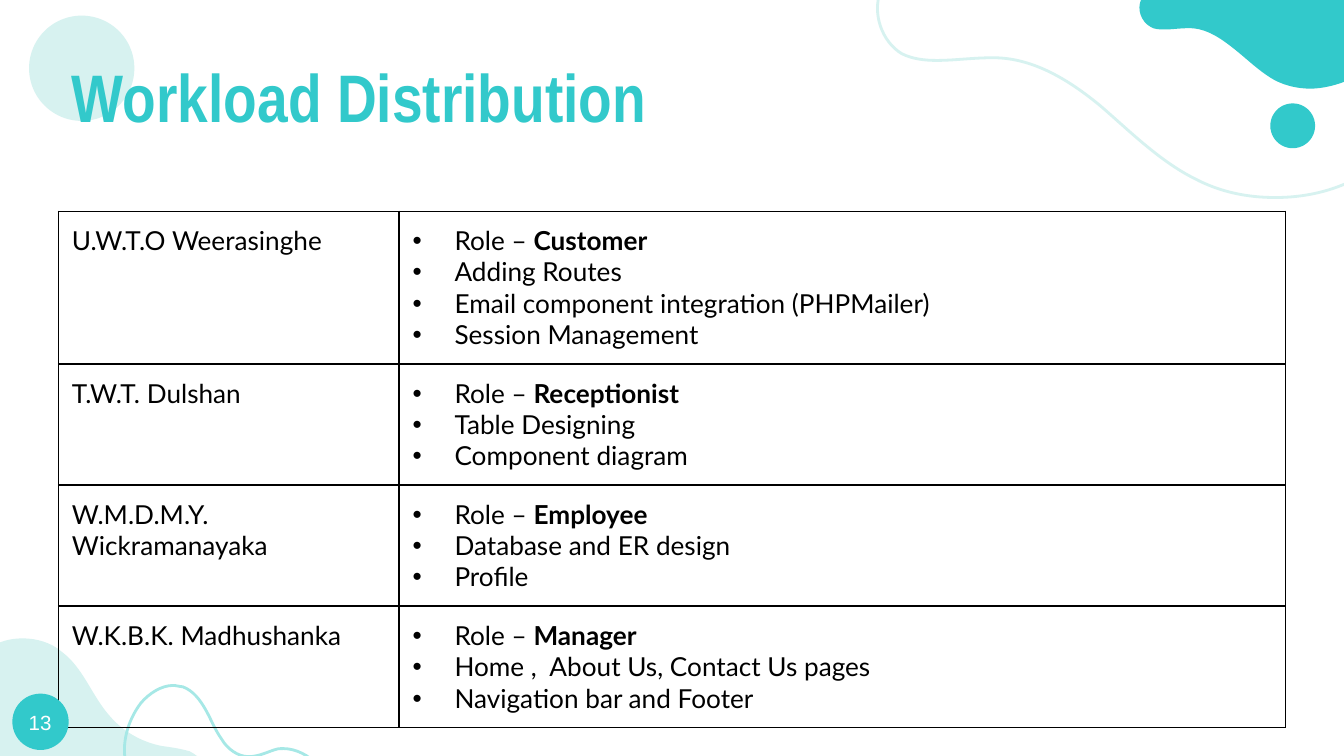
import lxml.etree
import pptx
import pptx.dml.color
import pptx.enum.shapes
import pptx.enum.text
import pptx.oxml.ns
import pptx.util

Pt = pptx.util.Pt
qn = pptx.oxml.ns.qn
ALIGN = pptx.enum.text.PP_ALIGN
ANCHOR = pptx.enum.text.MSO_ANCHOR

COLOURS = {"teal": "32C9CB", "mint": "D7F2F0", "aqua": "A6E8E6",
           "black": "000000", "white": "FFFFFF"}
UNIT = Pt(0.72)  # grid step of the outlines
INSET = Pt(7.2)

# Each outline: start, cubic curves (two handles and an end), closing corners.
TOP_WAVE = ((1005, 135), [
    (988, 143, 969, 147, 949, 147), (928, 147, 908, 143, 889, 133),
    (863, 120, 841, 98, 819, 79), (796, 60, 769, 43, 739, 43),
    (724, 43, 710, 45, 697, 45), (688, 45, 679, 44, 671, 40),
    (656, 31, 649, 10, 655, -6)], [(1007, -6), (1007, 135)])
TOP_BLOB = ((1000, 61), [
    (992, 64, 983, 66, 975, 66), (966, 66, 957, 64, 949, 60),
    (938, 54, 929, 45, 919, 37), (909, 29, 898, 21, 885, 21),
    (878, 21, 872, 22, 867, 22), (863, 22, 859, 22, 856, 20),
    (849, 16, 846, 7, 849, 0)], [(1000, 0)])
CORNER_HILL = ((0, 524), [
    (6, 522, 11, 520, 17, 520), (23, 520, 30, 522, 35, 525),
    (43, 529, 50, 535, 57, 541), (63, 547, 72, 552, 81, 552),
    (85, 552, 89, 551, 93, 551), (96, 551, 99, 552, 101, 553),
    (106, 556, 108, 562, 106, 567)], [(0, 567)])
CORNER_BAND = ((87, 567), [
    (88, 563, 87, 558, 83, 556), (81, 555, 79, 554, 76, 554),
    (73, 554, 70, 555, 67, 555), (59, 555, 52, 551, 46, 546),
    (41, 541, 35, 536, 29, 532), (24, 530, 19, 529, 14, 529),
    (9, 529, 4, 530, 0, 532), (0, 514, 0, 496, 0, 478),
    (5, 476, 11, 475, 17, 475), (27, 475, 38, 478, 46, 485),
    (62, 497, 68, 517, 81, 532), (91, 544, 105, 552, 120, 555),
    (127, 556, 134, 557, 141, 559), (145, 561, 149, 564, 151, 567)], [])
BOTTOM_WAVE = ((236, 569), [
    (230, 562, 220, 557, 211, 557), (208, 557, 206, 557, 204, 558),
    (198, 560, 192, 563, 185, 563), (177, 563, 169, 557, 165, 550),
    (160, 543, 157, 535, 153, 528), (149, 521, 144, 514, 136, 511),
    (134, 511, 131, 510, 129, 510), (120, 510, 111, 516, 105, 523),
    (95, 536, 90, 554, 94, 569)], [])

WORKLOAD = [
    ("U.W.T.O Weerasinghe", "Customer",
     ["Adding Routes", "Email component integration (PHPMailer)", "Session Management"]),
    ("T.W.T. Dulshan", "Receptionist", ["Table Designing", "Component diagram"]),
    ("W.M.D.M.Y. Wickramanayaka", "Employee", ["Database and ER design", "Profile"]),
    ("W.K.B.K. Madhushanka", "Manager",
     ["Home ,  About Us, Contact Us pages", "Navigation bar and Footer"]),
]


class SlideWriter:
    def __init__(self, page):
        self.page = page

    def colour(self, name):
        return pptx.dml.color.RGBColor.from_string(COLOURS[name])

    def paint(self, shape, fill=None, line=None):
        shape.shadow.inherit = False
        if fill:
            shape.fill.solid()
            shape.fill.fore_color.rgb = self.colour(fill)
        else:
            shape.fill.background()
        if line:
            shape.line.color.rgb = self.colour(line)
            shape.line.width = Pt(1.5)
        else:
            shape.line.fill.background()

    def outline(self, outline, fill=None, line=None):
        """Draw a polygon through all handles, then merge its lines into curves."""
        start, curves, corners = outline
        points = [curve[i:i + 2] for curve in curves for i in (0, 2, 4)]
        builder = self.page.shapes.build_freeform(*start, scale=UNIT)
        builder.add_line_segments(points + corners, close=True)
        shape = builder.convert_to_shape()
        segments = list(shape.element.iter(qn("a:lnTo")))
        for first in range(0, len(points), 3):
            curve = lxml.etree.Element(qn("a:cubicBezTo"))
            segments[first].addprevious(curve)
            for segment in segments[first:first + 3]:
                curve.append(segment[0])
                segment.getparent().remove(segment)
        self.paint(shape, fill, line)

    def circle(self, left, top, size, fill):
        shape = self.page.shapes.add_shape(
            pptx.enum.shapes.MSO_SHAPE.OVAL, Pt(left), Pt(top), Pt(size), Pt(size))
        self.paint(shape, fill)

    def format_runs(self, para, font, size, colour, bold=False):
        for span in para.runs:
            span.font.name = font
            span.font.size = Pt(size)
            span.font.bold = bold
            span.font.color.rgb = self.colour(colour)

    def set_frame(self, frame, wrap, anchor):
        frame.margin_left = frame.margin_right = INSET
        frame.margin_top = frame.margin_bottom = INSET
        frame.word_wrap = wrap
        frame.auto_size = pptx.enum.text.MSO_AUTO_SIZE.NONE
        frame.vertical_anchor = anchor

    def title(self, text, left, top, width, height):
        box = self.page.shapes.title
        box.element.getparent().append(box.element)  # in front of the decoration
        box.left, box.top, box.width, box.height = map(Pt, (left, top, width, height))
        self.set_frame(box.text_frame, True, ANCHOR.TOP)
        box.text_frame.text = text
        para = box.text_frame.paragraphs[0]
        para.alignment = ALIGN.LEFT
        self.format_runs(para, "Arial Narrow", 36, "teal", True)

    def page_number(self, text, left, top, width, height):
        box = self.page.shapes.add_textbox(*map(Pt, (left, top, width, height)))
        self.set_frame(box.text_frame, False, ANCHOR.MIDDLE)
        box.text_frame.text = text
        para = box.text_frame.paragraphs[0]
        para.alignment = ALIGN.CENTER
        self.format_runs(para, "Arial", 11, "white")

    def bullet(self, para):
        props = para._p.get_or_add_pPr()
        props.set("marL", str(Pt(22.5)))
        props.set("indent", str(-Pt(22.5)))
        tint = lxml.etree.SubElement(props, qn("a:buClr"))
        lxml.etree.SubElement(tint, qn("a:srgbClr"), val=COLOURS["black"])
        lxml.etree.SubElement(props, qn("a:buFont"), typeface="Arial")
        lxml.etree.SubElement(props, qn("a:buChar"), char="•")

    def cell(self, cell, text):
        cell.margin_left = cell.margin_right = INSET
        cell.margin_top = cell.margin_bottom = INSET
        cell.fill.background()
        props = cell._tc.get_or_add_tcPr()
        for position, side in enumerate(("lnL", "lnR", "lnT", "lnB")):
            border = lxml.etree.Element(qn("a:" + side), w=str(Pt(0.75)))
            solid = lxml.etree.SubElement(border, qn("a:solidFill"))
            lxml.etree.SubElement(solid, qn("a:srgbClr"), val=COLOURS["black"])
            props.insert(position, border)
        cell.text_frame.text = text
        for para in cell.text_frame.paragraphs:
            self.format_runs(para, "Lato", 14, "black")

    def workload_table(self, rows, left, top, widths, heights):
        table = self.page.shapes.add_table(
            len(rows), len(widths), Pt(left), Pt(top),
            Pt(sum(widths)), Pt(sum(heights))).table
        table.first_row = table.horz_banding = False
        for column, width in zip(table.columns, widths):
            column.width = Pt(width)
        for index, (member, role, tasks) in enumerate(rows):
            table.rows[index].height = Pt(heights[index])
            self.cell(table.cell(index, 0), member)
            duties = table.cell(index, 1)
            self.cell(duties, "\n".join(["Role – "] + tasks))
            paras = duties.text_frame.paragraphs
            for para in paras:
                self.bullet(para)
            paras[0].add_run().text = role
            self.format_runs(paras[0], "Lato", 14, "black")
            paras[0].runs[-1].font.bold = True


def main():
    deck = pptx.Presentation()
    deck.slide_width, deck.slide_height = Pt(720), Pt(405)
    writer = SlideWriter(deck.slides.add_slide(deck.slide_layouts[5]))
    writer.outline(TOP_WAVE, line="mint")
    writer.circle(15.6, 8.4, 56.4, "mint")
    writer.outline(CORNER_HILL, fill="mint")
    writer.outline(CORNER_BAND, fill="mint")
    writer.outline(BOTTOM_WAVE, line="aqua")
    writer.circle(680.5, 55.4, 24, "teal")
    writer.outline(TOP_BLOB, fill="teal")
    writer.title("Workload Distribution", 31.3, 22.3, 605.5, 42.5)
    writer.workload_table(WORKLOAD, 31.3, 113.2, (182.5, 474.8), (81.8, 64.8, 64.8, 64.8))
    writer.circle(6.6, 371.6, 30.2, "teal")
    writer.page_number("13", 8, 377.4, 27, 19.4)
    deck.save("out.pptx")


if __name__ == "__main__":
    main()
